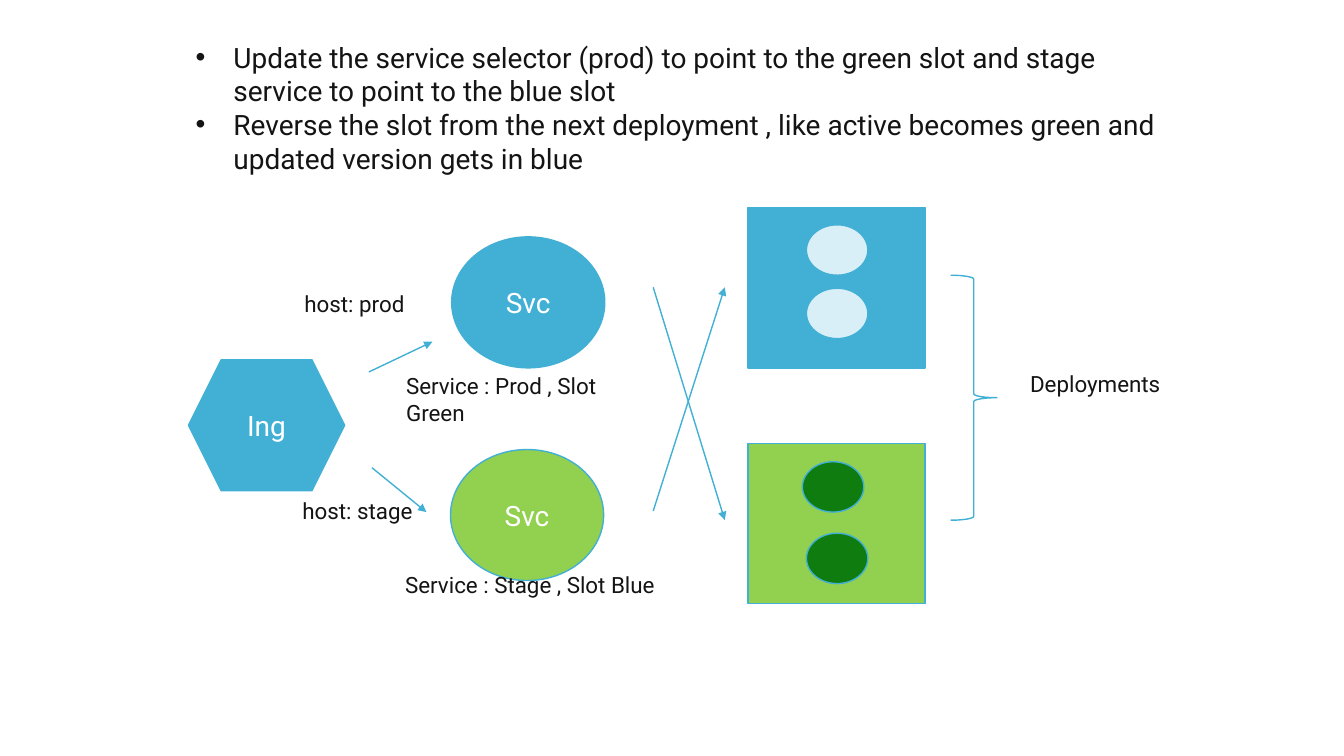
"""Build a slide on swapping the blue and green deployment slots."""
from lxml.etree import SubElement
from pptx import Presentation
from pptx.dml.color import RGBColor
from pptx.enum.shapes import MSO_CONNECTOR as Connector, MSO_SHAPE as Shape
from pptx.enum.text import MSO_ANCHOR as Anchor, PP_ALIGN as Align
from pptx.oxml.ns import qn
from pptx.util import Pt

BLUE, GREEN, WHITE, INK = "42B0D5", "92D050", "FFFFFF", "141414"
BLUE_POD, GREEN_POD = "D9EFF7", "0F7C0F"
INSET = Pt(18.72)


def color(value):
    return RGBColor.from_string(value)


def set_text(shape, lines, size, text_color, wrap=True):
    frame = shape.text_frame
    frame.word_wrap = wrap
    frame.margin_left = frame.margin_right = INSET
    frame.margin_top = frame.margin_bottom = INSET
    frame.text = "\n".join(lines)
    for paragraph in frame.paragraphs:
        paragraph.font.name = "Roboto"
        paragraph.font.size = Pt(size)
        paragraph.font.color.rgb = color(text_color)
    return frame


presentation = Presentation()
presentation.slide_width, presentation.slide_height = Pt(960), Pt(540)
slide = presentation.slides.add_slide(presentation.slide_layouts[6])

arrows = [
    (263.5, 265.7, 308.9, 244.1),
    (265.7, 334.1, 304.6, 365.8),
    (466.6, 205.2, 517.7, 371.5),
    (466.6, 365, 517.7, 205.2),
]
for ends in arrows:
    arrow = slide.shapes.add_connector(Connector.STRAIGHT, *map(Pt, ends))
    arrow.line.color.rgb = color(BLUE)
    arrow.line.width = Pt(1)
    SubElement(arrow.line._get_or_add_ln(), qn("a:tailEnd"), type="triangle")
    SubElement(arrow._element.spPr, qn("a:effectLst"))

shapes = [
    (Shape.HEXAGON, 134.6, 257, 111.6, 93.6, BLUE, "Ing"),
    (Shape.OVAL, 322.6, 169.2, 109.4, 93.6, BLUE, "Svc"),
    (Shape.OVAL, 321.8, 321.1, 109.4, 93.6, GREEN, "Svc"),
    (Shape.RECTANGLE, 534.2, 148.3, 126.7, 114.5, BLUE, ""),
    (Shape.RECTANGLE, 534.2, 316.8, 126.7, 114.5, GREEN, ""),
    (Shape.OVAL, 576, 160.6, 43.9, 36, BLUE_POD, ""),
    (Shape.OVAL, 576, 205.9, 43.9, 36, BLUE_POD, ""),
    (Shape.OVAL, 573.1, 329.8, 43.9, 36, GREEN_POD, ""),
    (Shape.OVAL, 576, 380.9, 43.9, 36, GREEN_POD, ""),
    (Shape.RIGHT_BRACE, 679, 196.6, 33.1, 175, None, ""),
]
for kind, left, top, width, height, fill, label in shapes:
    shape = slide.shapes.add_shape(kind, Pt(left), Pt(top), Pt(width), Pt(height))
    shape.shadow.inherit = False
    shape.line.color.rgb = color(BLUE)
    shape.line.width = Pt(1)
    if fill:
        shape.fill.solid()
        shape.fill.fore_color.rgb = color(fill)
    else:
        shape.fill.background()
    if label:
        frame = set_text(shape, [label], 20, WHITE)
        frame.vertical_anchor = Anchor.MIDDLE
        frame.paragraphs[0].alignment = Align.CENTER

labels = [
    ("host: prod", 198.7, 197.3, 111.6, 56.9, False),
    ("host: stage", 197.3, 345.6, 117.4, 56.9, False),
    ("Service : Prod , Slot Green", 271.4, 247, 213.1, 76.3, True),
    ("Service : Stage , Slot Blue", 270.7, 398.2, 219.6, 56.9, False),
    ("Deployments", 717.1, 254.9, 133.9, 56.9, False),
]
for label, left, top, width, height, wrap in labels:
    box = slide.shapes.add_textbox(Pt(left), Pt(top), Pt(width), Pt(height))
    set_text(box, [label], 16, INK, wrap)

steps = [
    "Update the service selector (prod) to point to the green slot and stage service to point to the blue slot",
    "Reverse the slot from the next deployment , like active becomes green and updated version gets in blue",
]
steps_box = slide.shapes.add_textbox(Pt(121), Pt(10.1), Pt(738), Pt(134.6))
for paragraph in set_text(steps_box, steps, 20, INK).paragraphs:
    properties = paragraph._p.get_or_add_pPr()
    properties.set("marL", str(Pt(27)))
    properties.set("indent", str(-Pt(27)))
    bullet_font = SubElement(properties, qn("a:buFont"), typeface="Arial")
    bullet = SubElement(properties, qn("a:buChar"), char="•")
    properties.remove(bullet_font)
    properties.remove(bullet)
    default_run = properties.find(qn("a:defRPr"))
    default_run.addprevious(bullet_font)
    default_run.addprevious(bullet)

presentation.save("out.pptx")
